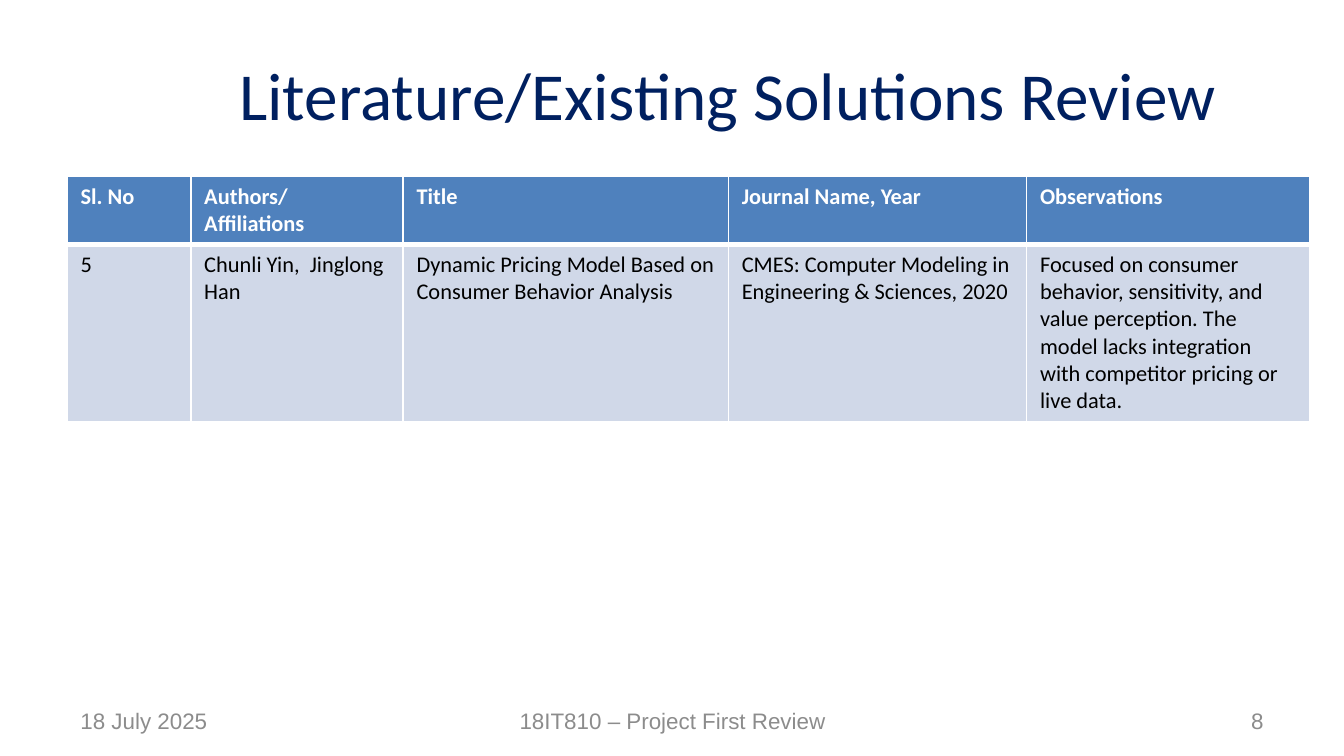
from dataclasses import dataclass

from lxml import etree
from pptx import Presentation
from pptx.dml.color import RGBColor
from pptx.enum.text import MSO_ANCHOR, PP_ALIGN
from pptx.oxml.ns import qn
from pptx.util import Inches, Pt

LEFT, CENTER, RIGHT = PP_ALIGN.LEFT, PP_ALIGN.CENTER, PP_ALIGN.RIGHT
MIDDLE = MSO_ANCHOR.MIDDLE
TITLE_ONLY = 5


@dataclass(frozen=True)
class Theme:
    title: str = "002060"
    header: str = "4F81BD"
    body: str = "D0D8E8"
    white: str = "FFFFFF"
    black: str = "000000"
    footer: str = "8C8C8C"
    text_font: str = "Calibri"
    footer_font: str = "Arial"
    title_size: int = 36
    text_size: int = 12


THEME = Theme()

COLUMN_WIDTHS = [0.92, 1.58, 2.42, 2.22, 2.11]
ROW_HEIGHTS = [0.49, 1.31]
ROWS = [
    ["Sl. No", "Authors/ Affiliations", "Title", "Journal Name, Year",
     "Observations"],
    ["5", "Chunli Yin,  Jinglong Han",
     "Dynamic Pricing Model Based on Consumer Behavior Analysis",
     "CMES: Computer Modeling in Engineering & Sciences, 2020",
     "Focused on consumer behavior, sensitivity, and value perception. "
     "The model lacks integration with competitor pricing or live data."],
]

# Text, left, width and alignment of each footer item
FOOTERS = [
    ("18 July 2025", 0.5, 2.33, LEFT),
    ("8", 7.17, 2.33, RIGHT),
    ("18IT810 – Project First Review", 3.42, 3.17, CENTER),
]


def style_paragraph(p, font, size, color, align=LEFT, bold=False):
    p.alignment = align
    p.font.name = font
    p.font.size = Pt(size)
    p.font.bold = bold
    p.font.color.rgb = RGBColor.from_string(color)


def add_title(slide, text):
    sp = slide.shapes.title
    sp.left, sp.top = Inches(1.33), Inches(0.23)
    sp.width, sp.height = Inches(8.17), Inches(0.94)
    tf = sp.text_frame
    tf.text = text
    tf.vertical_anchor = MIDDLE
    style_paragraph(tf.paragraphs[0], THEME.text_font, THEME.title_size,
                    THEME.title, CENTER)


def set_borders(cell, widths):
    """Draw white cell borders; widths maps a side (L, R, T, B) to points."""
    tc_pr = cell._tc.get_or_add_tcPr()
    for side, width in widths.items():
        ln = etree.SubElement(tc_pr, qn(f"a:ln{side}"), w=str(Pt(width)))
        fill = etree.SubElement(ln, qn("a:solidFill"))
        etree.SubElement(fill, qn("a:srgbClr"), val=THEME.white)


def style_cell(cell, is_header):
    top, bottom = (1, 3) if is_header else (3, 1)
    set_borders(cell, {"L": 1, "R": 1, "T": top, "B": bottom})
    cell.fill.solid()
    cell.fill.fore_color.rgb = RGBColor.from_string(
        THEME.header if is_header else THEME.body)
    style_paragraph(cell.text_frame.paragraphs[0], THEME.text_font,
                    THEME.text_size,
                    THEME.white if is_header else THEME.black, bold=is_header)


def add_review_table(slide):
    table = slide.shapes.add_table(
        len(ROWS), len(COLUMN_WIDTHS), Inches(0.5), Inches(1.31),
        Inches(sum(COLUMN_WIDTHS)), Inches(sum(ROW_HEIGHTS))).table
    for column, width in zip(table.columns, COLUMN_WIDTHS):
        column.width = Inches(width)
    for i, (height, texts) in enumerate(zip(ROW_HEIGHTS, ROWS)):
        table.rows[i].height = Inches(height)
        for j, text in enumerate(texts):
            cell = table.cell(i, j)
            cell.text = text
            style_cell(cell, is_header=i == 0)


def add_footer(slide, text, left, width, align):
    sp = slide.shapes.add_textbox(Inches(left), Inches(5.21),
                                  Inches(width), Inches(0.3))
    tf = sp.text_frame
    tf.word_wrap = True
    tf.vertical_anchor = MIDDLE
    tf.text = text
    style_paragraph(tf.paragraphs[0], THEME.footer_font, THEME.text_size,
                    THEME.footer, align)


def main():
    # Widescreen page, 16:9
    prs = Presentation()
    prs.slide_width = Inches(10)
    prs.slide_height = prs.slide_width * 9 // 16
    slide = prs.slides.add_slide(prs.slide_layouts[TITLE_ONLY])

    # Heading
    add_title(slide, "Literature/Existing Solutions Review")

    # Reviewed work
    add_review_table(slide)

    # Date, page number and course
    for footer in FOOTERS:
        add_footer(slide, *footer)

    prs.save("out.pptx")


if __name__ == "__main__":
    main()
